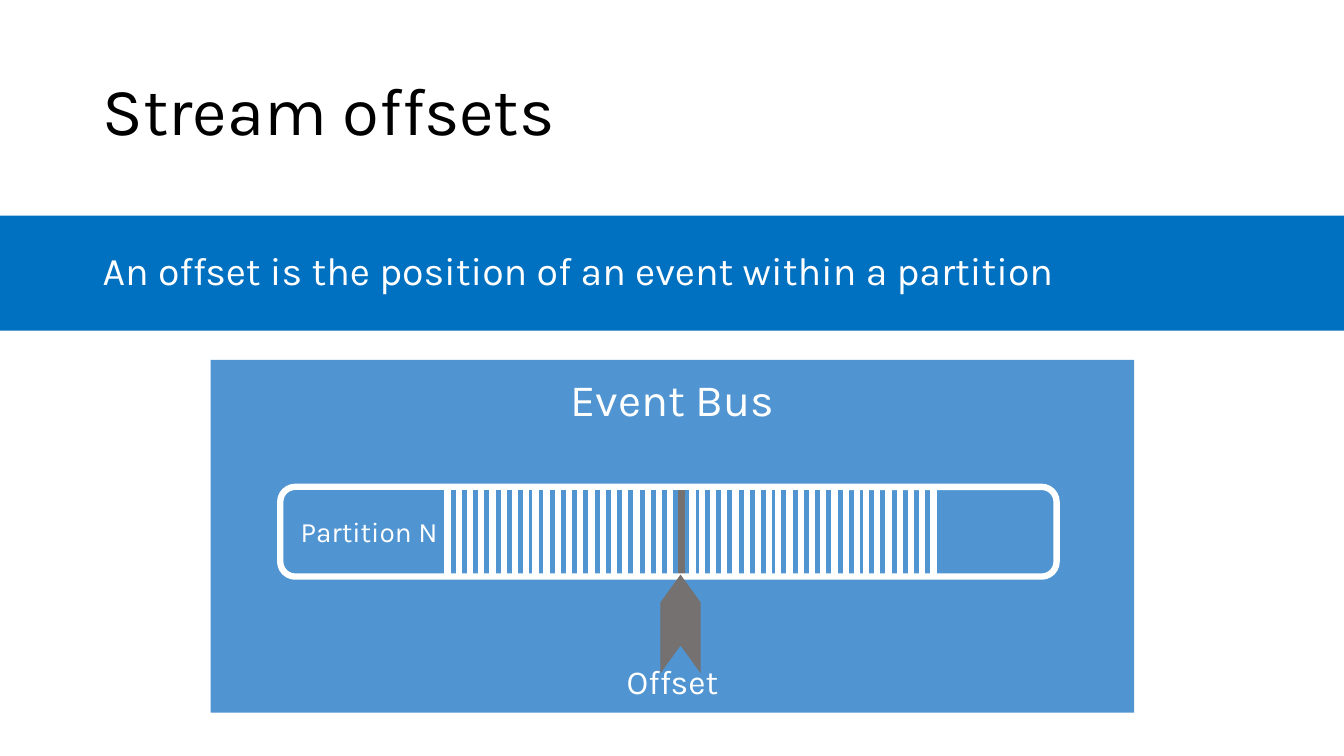
import pptx
import pptx.util
import pptx.dml.color
import pptx.enum.shapes
import pptx.enum.text
import pptx.oxml.ns
import lxml.etree

SHAPES = pptx.enum.shapes.MSO_SHAPE
ALIGN = pptx.enum.text.PP_ALIGN
WHITE, BLACK, GRAY = "FFFFFF", "000000", "767171"
BAND_BLUE, HUB_BLUE = "0070C0", "5095D1"


def color(hex_text):
    return pptx.dml.color.RGBColor.from_string(hex_text)


class SlideBuilder:
    """Draws styled elements on one slide, placed on a grid of tenth-inch cells."""

    font_name = "Karla"
    line_width = 4.5

    def __init__(self, slide):
        self.slide = slide

    def cells(self, *counts):
        return [pptx.util.Inches(count / 10) for count in counts]

    def shape(self, kind, area, fill=None, line=None):
        shape = self.slide.shapes.add_shape(kind, *self.cells(*area))
        shape.shadow.inherit = False
        if fill:
            shape.fill.solid()
            shape.fill.fore_color.rgb = color(fill)
        else:
            shape.fill.background()
        if line:
            shape.line.color.rgb = color(line)
            shape.line.width = pptx.util.Pt(self.line_width)
        else:
            shape.line.fill.background()
        return shape

    def text_box(self, area):
        return self.slide.shapes.add_textbox(*self.cells(*area))

    def add_text(self, box, lines, ink=WHITE, align=ALIGN.LEFT, spacing=1.0, gap=0):
        frame = box.text_frame
        frame.word_wrap = True
        frame.vertical_anchor = pptx.enum.text.MSO_ANCHOR.MIDDLE
        for index, (text, size) in enumerate(lines):
            para = frame.add_paragraph() if index else frame.paragraphs[0]
            para.alignment = align
            para.line_spacing = spacing
            if index:
                para.space_before = pptx.util.Pt(gap)
            span = para.add_run()
            span.text = text
            span.font.name = self.font_name
            span.font.size = pptx.util.Pt(size)
            span.font.color.rgb = color(ink)

    def stripe(self, column, top, bottom, ink):
        stripe = self.slide.shapes.add_connector(
            pptx.enum.shapes.MSO_CONNECTOR.STRAIGHT,
            *self.cells(column, top, column, bottom))
        stripe.line.color.rgb = color(ink)
        stripe.line.width = pptx.util.Pt(self.line_width)
        properties = stripe._element.spPr
        lxml.etree.SubElement(properties, pptx.oxml.ns.qn("a:effectLst"))


def main():
    deck = pptx.Presentation()
    deck.slide_width = pptx.util.Inches(13.33)
    deck.slide_height = pptx.util.Inches(7.5)
    page = SlideBuilder(deck.slides.add_slide(deck.slide_layouts[6]))

    hub = page.shape(SHAPES.RECTANGLE, (20.9, 35.7, 91.6, 35), fill=HUB_BLUE)
    page.add_text(hub, [("Event Bus", 32), ("Offset", 24)], align=ALIGN.CENTER, gap=168)

    title = page.text_box((9.2, 4, 115, 14.5))
    page.add_text(title, [("Stream offsets", 48)], ink=BLACK, spacing=0.9)

    page.shape(SHAPES.RECTANGLE, (0, 21.4, 133.3, 11.4), fill=BAND_BLUE)
    statement = page.text_box((9.2, 22.3, 120, 9.6))
    page.add_text(statement, [("An offset is the position of an event within a partition", 28)],
                  spacing=0.9)

    top, bottom = 48.3, 57.2
    offset_column = 67.6
    page.stripe(offset_column, top, bottom, GRAY)
    partition = page.shape(SHAPES.ROUNDED_RECTANGLE, (27.8, top, 77, bottom - top), line=WHITE)
    partition.text_frame.margin_left = page.cells(1.6)[0]
    page.add_text(partition, [("Partition N", 20)])

    pitch = 7.8 / 7
    event_batches = [(44.4, 8), (53.1, 15), (69.6, 7), (77.2, 8), (85.9, 7)]
    for first_column, count in event_batches:
        for index in range(count):
            column = first_column + index * pitch
            if abs(column - offset_column) > pitch / 2:
                page.stripe(column, top, bottom, WHITE)

    marker = page.shape(SHAPES.CHEVRON, (62.6, 59.9, 9.8, 4), fill=GRAY)
    marker.adjustments[0] = 0.69
    marker.rotation = 270

    deck.save("out.pptx")


if __name__ == "__main__":
    main()
